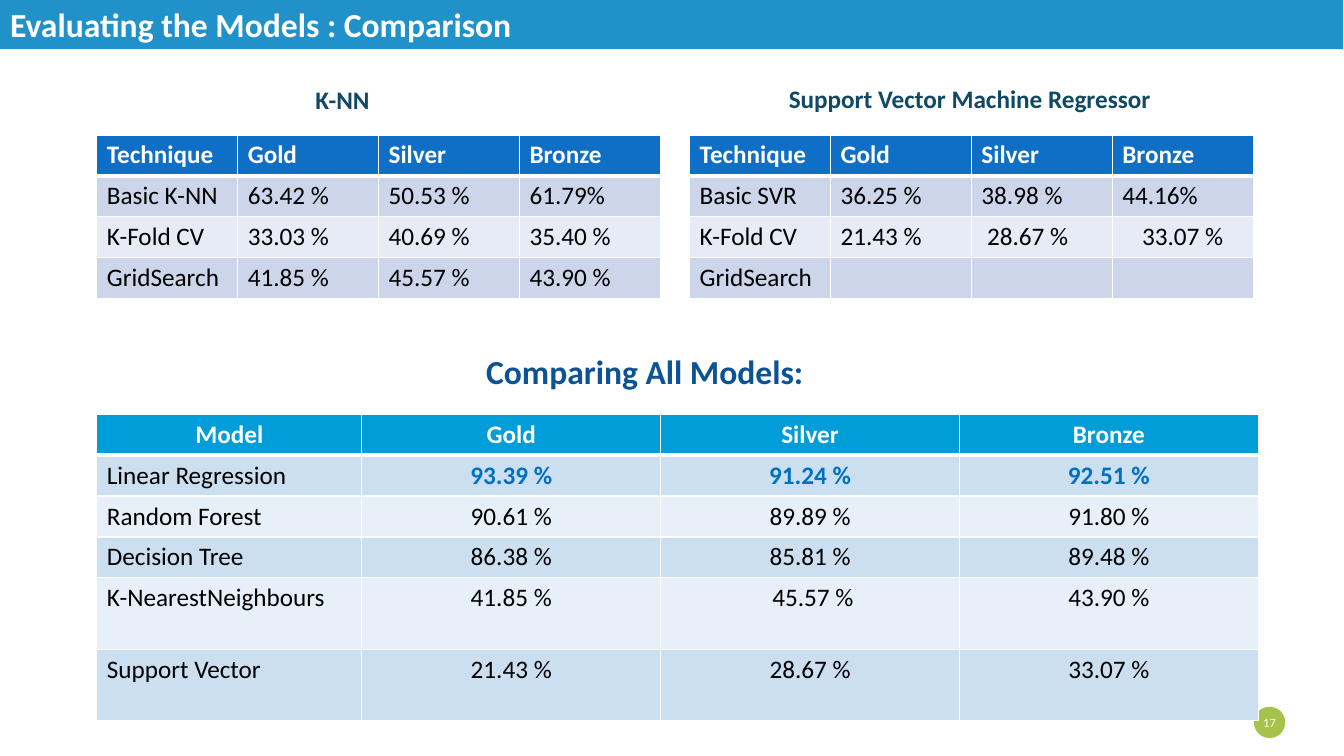
from dataclasses import dataclass

from lxml.etree import SubElement
from pptx import Presentation
from pptx.dml.color import RGBColor
from pptx.enum.shapes import MSO_SHAPE
from pptx.enum.text import MSO_ANCHOR, MSO_AUTO_SIZE, PP_ALIGN
from pptx.oxml.ns import qn
from pptx.util import Cm, Pt


@dataclass(frozen=True)
class Theme:
    font: str = "Calibri"
    large: int = 24
    normal: int = 18
    tiny: int = 9
    white: str = "FFFFFF"
    black: str = "000000"
    bar: str = "2191C9"
    badge: str = "A5C249"
    label: str = "114864"
    heading: str = "0B5394"
    best: str = "0070C0"
    single: tuple = ("0F6FC6", "CCD5EA", "E7EBF5")
    joint: tuple = ("009DD9", "CCDFF1", "E7EFF8")


THEME = Theme()
MEDALS = ["Gold", "Silver", "Bronze"]
KNN = [
    ["Technique", *MEDALS],
    ["Basic K-NN", "63.42 %", "50.53 %", "61.79%"],
    ["K-Fold CV", "33.03 %", "40.69 %", "35.40 %"],
    ["GridSearch", "41.85 %", "45.57 %", "43.90 %"],
]
SVR = [
    ["Technique", *MEDALS],
    ["Basic SVR", "36.25 %", "38.98 %", "44.16%"],
    ["K-Fold CV", "21.43 %", " 28.67 %", "33.07 %"],
    ["GridSearch", "", "", ""],
]
MODELS = [
    ["Model", *MEDALS],
    ["Linear Regression", "93.39 %", "91.24 %", "92.51 %"],
    ["Random Forest", "90.61 %", "89.89 %", "91.80 %"],
    ["Decision Tree", "86.38 %", "85.81 %", "89.48 %"],
    ["K-NearestNeighbours", "41.85 %", " 45.57 %", "43.90 %"],
    ["Support Vector", "21.43 %", "28.67 %", "33.07 %"],
]


def paint(thing, colour):
    thing.fill.solid()
    thing.fill.fore_color.rgb = RGBColor.from_string(colour)


def write(frame, text, size, colour, bold=False, align=PP_ALIGN.LEFT):
    para = frame.paragraphs[0]
    para.alignment = align
    if not text:
        return
    run = para.add_run()
    run.text = text
    run.font.name = THEME.font
    run.font.size = Pt(size)
    run.font.bold = bold
    run.font.color.rgb = RGBColor.from_string(colour)


def place(shape, left, top, width, height):
    shape.left, shape.top = Cm(left), Cm(top)
    shape.width, shape.height = Cm(width), Cm(height)


def add_title(slide, text):
    title = slide.shapes.title
    place(title, 0, -0.03, 33.84, 1.27)
    paint(title, THEME.bar)
    frame = title.text_frame
    frame.auto_size = MSO_AUTO_SIZE.NONE
    frame.vertical_anchor = MSO_ANCHOR.TOP
    write(frame, text, THEME.large, THEME.white, True)


def add_label(slide, text, left, top, width, height, size, colour):
    box = slide.shapes.add_textbox(Cm(left), Cm(top), Cm(width), Cm(height))
    box.text_frame.word_wrap = True
    write(box.text_frame, text, size, colour, True)


def add_badge(slide, text):
    badge = slide.shapes.add_shape(
        MSO_SHAPE.OVAL, Cm(31.6), Cm(17.81), Cm(0.79), Cm(0.79))
    badge.shadow.inherit = False
    badge.line.fill.background()
    paint(badge, THEME.badge)
    frame = badge.text_frame
    frame.word_wrap = False
    frame.vertical_anchor = MSO_ANCHOR.MIDDLE
    frame.margin_left = frame.margin_right = 0
    frame.margin_top = frame.margin_bottom = 0
    write(frame, text, THEME.tiny, THEME.white, align=PP_ALIGN.CENTER)


def edge(cell, row):
    props = cell._tc.get_or_add_tcPr()
    widths = {"lnL": 1, "lnR": 1,
              "lnT": 3 if row == 1 else 1,
              "lnB": 3 if row == 0 else 1}
    for side, width in widths.items():
        line = SubElement(props, qn(f"a:{side}"), w=str(Pt(width)))
        fill = SubElement(line, qn("a:solidFill"))
        SubElement(fill, qn("a:srgbClr"), val=THEME.white)


def add_grid(slide, data, left, top, cols, rows, fills, mid=(), best=None):
    frame = slide.shapes.add_table(
        len(rows), len(cols), Cm(left), Cm(top), Cm(sum(cols)), Cm(sum(rows)))
    table = frame.table
    table.horz_banding = False
    for col, width in zip(table.columns, cols):
        col.width = Cm(width)
    for row, height in zip(table.rows, rows):
        row.height = Cm(height)
    head, odd, even = fills
    for r, texts in enumerate(data):
        for c, text in enumerate(texts):
            cell = table.cell(r, c)
            edge(cell, r)
            paint(cell, head if r == 0 else odd if r % 2 else even)
            star = r == best and c > 0
            colour = (THEME.white if r == 0
                      else THEME.best if star else THEME.black)
            align = PP_ALIGN.CENTER if (r, c) in mid else PP_ALIGN.LEFT
            write(cell.text_frame, text, THEME.normal, colour,
                  r == 0 or star, align)


def main():
    deck = Presentation()
    deck.slide_width, deck.slide_height = Cm(33.87), Cm(19.05)
    slide = deck.slides.add_slide(deck.slide_layouts[5])

    add_title(slide, "Evaluating the Models : Comparison")
    add_badge(slide, "17")

    centred = {(r, c) for r in range(6) for c in range(4) if r == 0 or c > 0}
    add_grid(slide, MODELS, 2.44, 10.44, [6.68] + [7.53] * 3,
             [1.03] * 4 + [1.8] * 2, THEME.joint, centred, best=1)
    small = [3.55] * 4, [1.03] * 4, THEME.single
    add_grid(slide, KNN, 2.44, 3.4, *small)
    add_grid(slide, SVR, 17.38, 3.4, *small, mid={(2, 3)})

    add_label(slide, " Comparing All Models:", 11.81, 8.71, 8.92, 1.27,
              THEME.large, THEME.heading)
    add_label(slide, "K-NN", 7.7, 2.01, 2.44, 1.02,
              THEME.normal, THEME.label)
    add_label(slide, "Support Vector Machine Regressor", 19.63, 1.98, 9.73,
              1.02, THEME.normal, THEME.label)
    deck.save("out.pptx")


if __name__ == "__main__":
    main()
